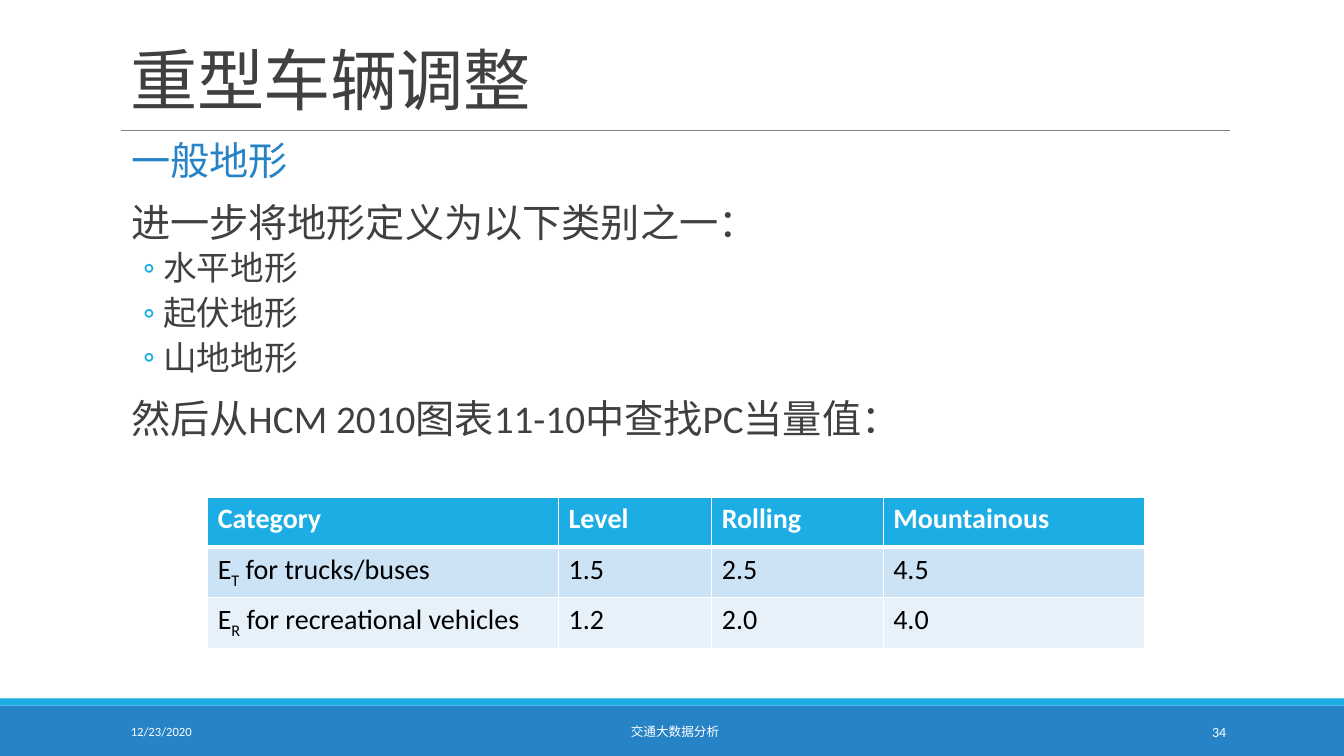
import pptx
import pptx.dml.color
import pptx.enum.shapes
import pptx.enum.text
import pptx.oxml.ns
import pptx.util
from lxml import etree
from pptx.util import Inches

RGBColor = pptx.dml.color.RGBColor
ALIGN = pptx.enum.text.PP_ALIGN
ANCHOR = pptx.enum.text.MSO_ANCHOR

WHITE = RGBColor(0xFF, 0xFF, 0xFF)
BLACK = RGBColor(0, 0, 0)
BLUE = RGBColor(0x26, 0x83, 0xC6)
CYAN = RGBColor(0x1C, 0xAD, 0xE4)
DARK = RGBColor(0x40, 0x40, 0x40)
GREY = RGBColor(0x80, 0x80, 0x80)
ROW_FILLS = [CYAN, RGBColor(0xCC, 0xE3, 0xF5), RGBColor(0xE7, 0xF1, 0xFA)]


def add_xml(parent, tag, **attributes):
    return etree.SubElement(parent, pptx.oxml.ns.qn(tag), attributes)


class SlideBuilder:
    """Draws styled elements on the current slide."""

    font_name = "Calibri"

    def __init__(self, page):
        self.page = page

    def style(self, font, size, color, bold=False):
        font.name = self.font_name
        font.size = pptx.util.Pt(size)
        font.color.rgb = color
        font.bold = bold

    def bar(self, top, height, color):
        bar = self.page.shapes.add_shape(
            pptx.enum.shapes.MSO_SHAPE.RECTANGLE,
            0, Inches(top), Inches(13.33), Inches(height))
        bar.shadow.inherit = False
        bar.fill.solid()
        bar.fill.fore_color.rgb = color
        bar.line.fill.background()

    def rule(self, left, right, top):
        rule = self.page.shapes.add_connector(
            pptx.enum.shapes.MSO_CONNECTOR.STRAIGHT,
            Inches(left), Inches(top), Inches(right), Inches(top))
        rule.line.color.rgb = GREY
        rule.line.width = pptx.util.Pt(0.5)
        add_xml(rule._element.spPr, "a:effectLst")

    def frame(self, left, top, width, height, anchor):
        box = self.page.shapes.add_textbox(
            Inches(left), Inches(top), Inches(width), Inches(height))
        box.text_frame.word_wrap = True
        box.text_frame.vertical_anchor = anchor
        return box.text_frame

    def label(self, text, area, size, color, align=ALIGN.LEFT, anchor=ANCHOR.MIDDLE):
        para = self.frame(*area, anchor).paragraphs[0]
        para.text = text
        para.alignment = align
        span = para.runs[0]
        self.style(span.font, size, color)
        return para

    def title(self, text, area):
        para = self.label(text, area, 48, DARK, anchor=ANCHOR.BOTTOM)
        para.line_spacing = 0.85
        para.runs[0]._r.get_or_add_rPr().set("spc", "-50")

    def body(self, lines, area):
        frame = self.frame(*area, ANCHOR.TOP)
        frame.margin_left = frame.margin_right = 0
        for index, (text, level, color) in enumerate(lines):
            para = frame.paragraphs[0] if index == 0 else frame.add_paragraph()
            para.text = text
            para.level = level
            para.line_spacing = 0.9
            if index:
                para.space_before = pptx.util.Pt(2 if level else 12)
            para.space_after = pptx.util.Pt(4 if level else 2)
            properties = para._p.get_or_add_pPr()
            properties.set("marL", str(Inches(0.42 if level else 0.1)))
            properties.set("indent", str(Inches(-0.2 if level else 0)))
            if level:
                bullet_color = add_xml(properties, "a:buClr")
                add_xml(bullet_color, "a:srgbClr", val=str(CYAN))
                add_xml(properties, "a:buFont", typeface=self.font_name)
                add_xml(properties, "a:buChar", char="◦")
            else:
                add_xml(properties, "a:buNone")
            self.style(para.runs[0].font, 24 if level else 28, color)

    def borders(self, cell, top, bottom):
        properties = cell._tc.get_or_add_tcPr()
        for side, width in {"L": 1, "R": 1, "T": top, "B": bottom}.items():
            line = add_xml(properties, f"a:ln{side}", w=str(pptx.util.Pt(width)))
            fill = add_xml(line, "a:solidFill")
            add_xml(fill, "a:srgbClr", val=str(WHITE))

    def table(self, rows, left, top, widths, row_height):
        table = self.page.shapes.add_table(
            len(rows), len(widths), Inches(left), Inches(top),
            Inches(sum(widths)), Inches(row_height * len(rows))).table
        for column, width in zip(table.columns, widths):
            column.width = Inches(width)
        for row, values in enumerate(rows):
            table.rows[row].height = Inches(row_height)
            for column, value in enumerate(values):
                cell = table.cell(row, column)
                self.borders(cell, 3 if row == 1 else 1, 3 if row == 0 else 1)
                cell.fill.solid()
                cell.fill.fore_color.rgb = ROW_FILLS[row]
                para = cell.text_frame.paragraphs[0]
                for index, part in enumerate(value.split("_")):
                    span = para.add_run()
                    span.text = part
                    self.style(span.font, 20, BLACK if row else WHITE, row == 0)
                    if index == 1:
                        span._r.get_or_add_rPr().set("baseline", "-25000")


def main():
    deck = pptx.Presentation()
    deck.slide_width = Inches(13.33)
    deck.slide_height = Inches(7.5)
    builder = SlideBuilder(deck.slides.add_slide(deck.slide_layouts[6]))

    builder.bar(7, 0.5, BLUE)
    builder.bar(6.93, 0.07, CYAN)
    builder.rule(1.2, 12.2, 1.29)
    builder.title("重型车辆调整", (1.2, 0.14, 11, 1.09))
    builder.body([
        ("一般地形", 0, BLUE),
        ("进一步将地形定义为以下类别之一：", 0, DARK),
        ("水平地形", 1, DARK),
        ("起伏地形", 1, DARK),
        ("山地地形", 1, DARK),
        ("然后从HCM 2010图表11-10中查找PC当量值：", 0, DARK),
    ], (1.2, 1.36, 11, 5.53))
    builder.label("12/23/2020", (1.2, 7.06, 2.7, 0.4), 9, WHITE)
    builder.label("交通大数据分析", (4.06, 7.06, 5.27, 0.4), 9, WHITE, ALIGN.CENTER)
    builder.label("34", (10.83, 7.06, 1.43, 0.4), 10, WHITE, ALIGN.RIGHT)
    builder.table([
        ("Category", "Level", "Rolling", "Mountainous"),
        ("E_T_ for trucks/buses", "1.5", "2.5", "4.5"),
        ("E_R_ for recreational vehicles", "1.2", "2.0", "4.0"),
    ], 2.06, 4.93, (3.48, 1.52, 1.7, 2.59), 0.5)

    deck.save("out.pptx")


if __name__ == "__main__":
    main()
